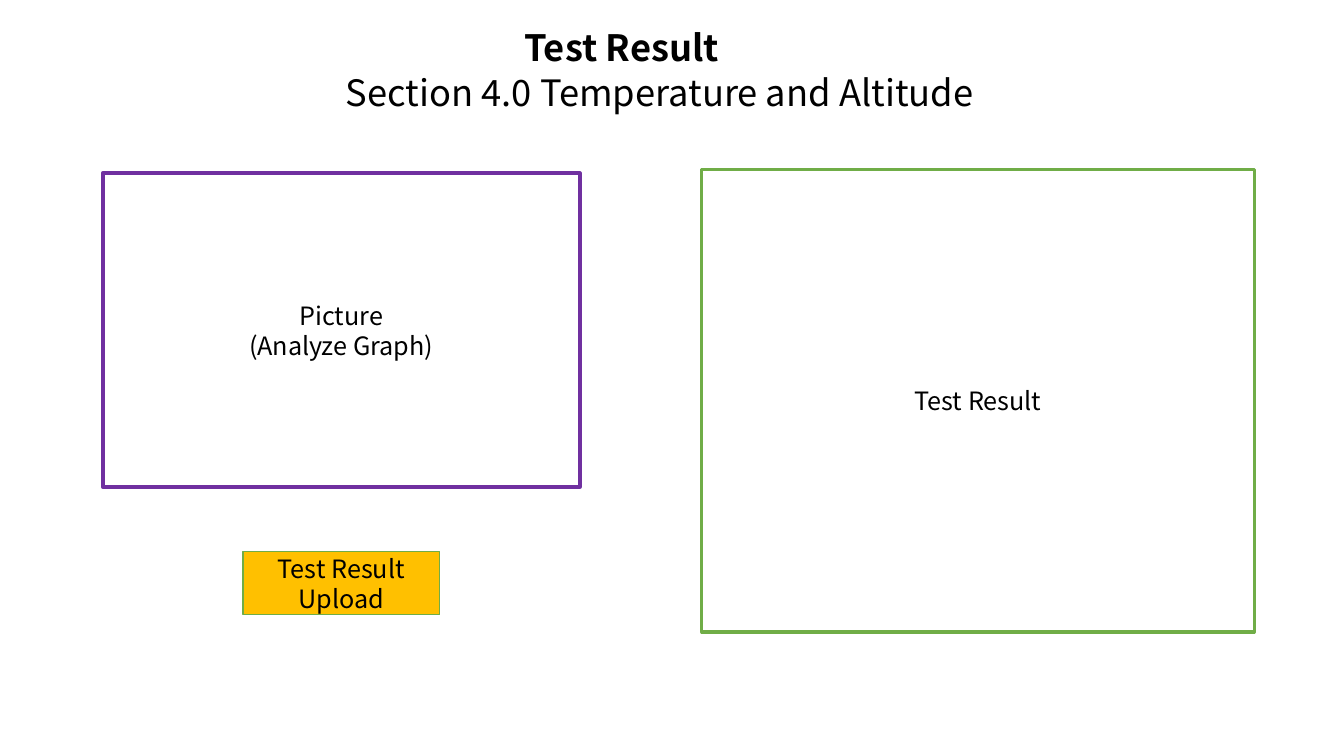
from pptx import Presentation
from pptx.dml.color import RGBColor
from pptx.enum.shapes import MSO_SHAPE
from pptx.enum.text import MSO_ANCHOR, MSO_AUTO_SIZE, PP_ALIGN
from pptx.util import Inches, Pt

FONT_NAME = "Noto Sans CJK SC"
BLACK = RGBColor(0x00, 0x00, 0x00)
WHITE = RGBColor(0xFF, 0xFF, 0xFF)
PURPLE = RGBColor(0x70, 0x30, 0xA0)
GREEN = RGBColor(0x70, 0xAD, 0x47)
AMBER = RGBColor(0xFF, 0xC0, 0x00)

# Title lines: text, bold, left indent in inches
TITLE_LINES = [
    ("Test Result", True, 2.09),
    ("Section 4.0 Temperature and Altitude", False, 0.32),
]

# Panels: box in inches, lines of text, fill, line colour, line width
PANELS = [
    ((1.02, 1.72, 4.73, 3.11), ["Picture", "(Analyze Graph)"], WHITE, PURPLE, 3),
    ((6.96, 1.68, 5.48, 4.59), ["Test Result"], WHITE, GREEN, 2.25),
    ((2.41, 5.47, 1.95, 0.63), ["Test Result Upload"], AMBER, GREEN, 1),
]


def set_attributes(target, values):
    for name, value in values.items():
        setattr(target, name, value)


def add_line(text_frame, index, text, size, bold, paragraph_format):
    """Write one paragraph, using the frame's first one when it is free."""
    paragraph = text_frame.paragraphs[0] if index == 0 else text_frame.add_paragraph()
    set_attributes(paragraph, paragraph_format)
    run = paragraph.add_run()
    run.text = text
    set_attributes(run.font, {"name": FONT_NAME, "size": Pt(size), "bold": bold})
    run.font.color.rgb = BLACK
    return paragraph


def add_title(slide, box):
    left, top, width, height = map(Inches, box)
    title = slide.shapes.title
    set_attributes(title, {"left": left, "top": top, "width": width, "height": height})
    text_frame = title.text_frame
    set_attributes(text_frame, {
        "word_wrap": True,
        "auto_size": MSO_AUTO_SIZE.NONE,
        "vertical_anchor": MSO_ANCHOR.TOP,
    })
    paragraph_format = {
        "alignment": PP_ALIGN.LEFT, "line_spacing": 0.7, "space_before": Pt(10),
    }
    for index, (text, bold, indent) in enumerate(TITLE_LINES):
        paragraph = add_line(text_frame, index, text, 25.9, bold, paragraph_format)
        properties = paragraph._p.get_or_add_pPr()
        properties.set("marL", str(Inches(indent)))
        properties.set("indent", "0")


def add_panel(slide, box, lines, fill_color, line_color, line_width):
    panel = slide.shapes.add_shape(MSO_SHAPE.RECTANGLE, *map(Inches, box))
    panel.shadow.inherit = False
    panel.fill.solid()
    panel.fill.fore_color.rgb = fill_color
    panel.line.color.rgb = line_color
    panel.line.width = Pt(line_width)
    set_attributes(panel.text_frame, {
        "word_wrap": True, "vertical_anchor": MSO_ANCHOR.MIDDLE,
    })
    for index, text in enumerate(lines):
        add_line(panel.text_frame, index, text, 18, False, {"alignment": PP_ALIGN.CENTER})


def build_test_result_slide(presentation):
    title_only_layout = presentation.slide_layouts[5]
    slide = presentation.slides.add_slide(title_only_layout)
    add_title(slide, (3.01, 0.32, 7.66, 0.91))
    for panel in PANELS:
        add_panel(slide, *panel)


presentation = Presentation()
set_attributes(presentation, {"slide_width": Inches(13.33), "slide_height": Inches(7.5)})
build_test_result_slide(presentation)
presentation.save("out.pptx")
